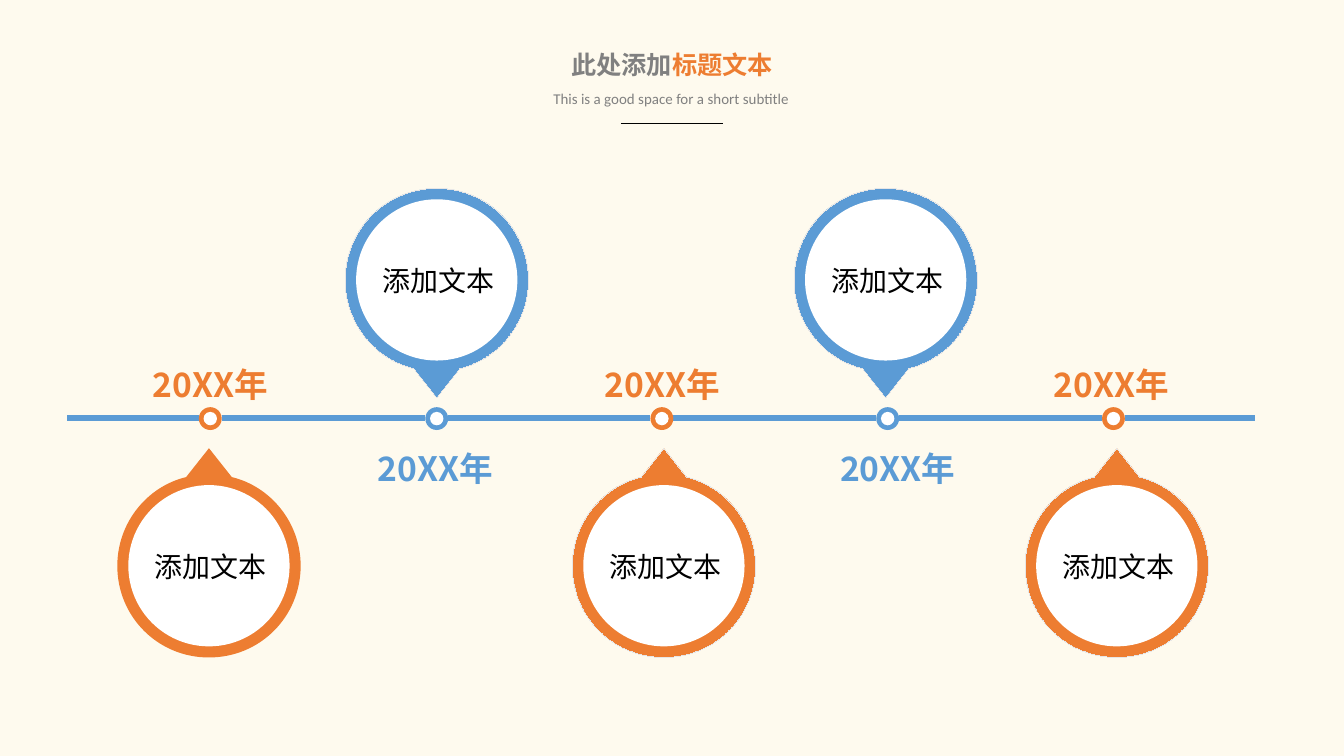
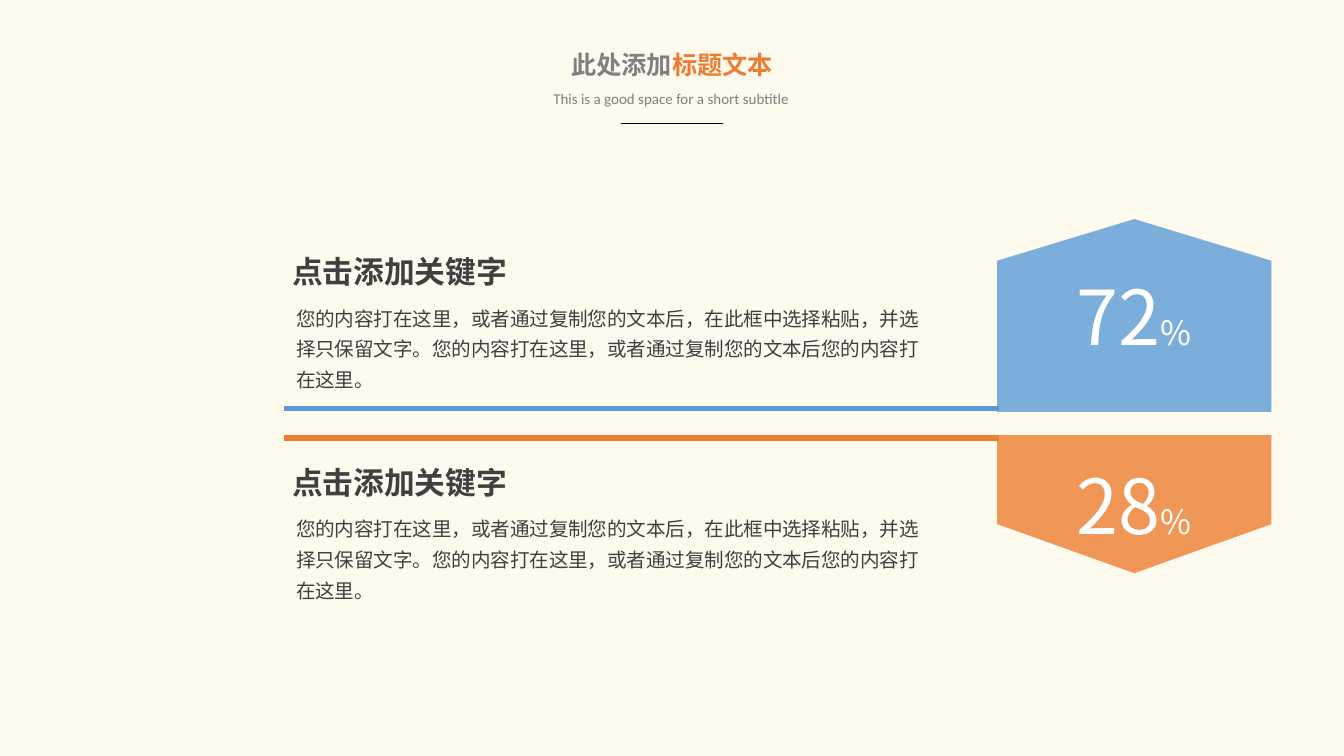
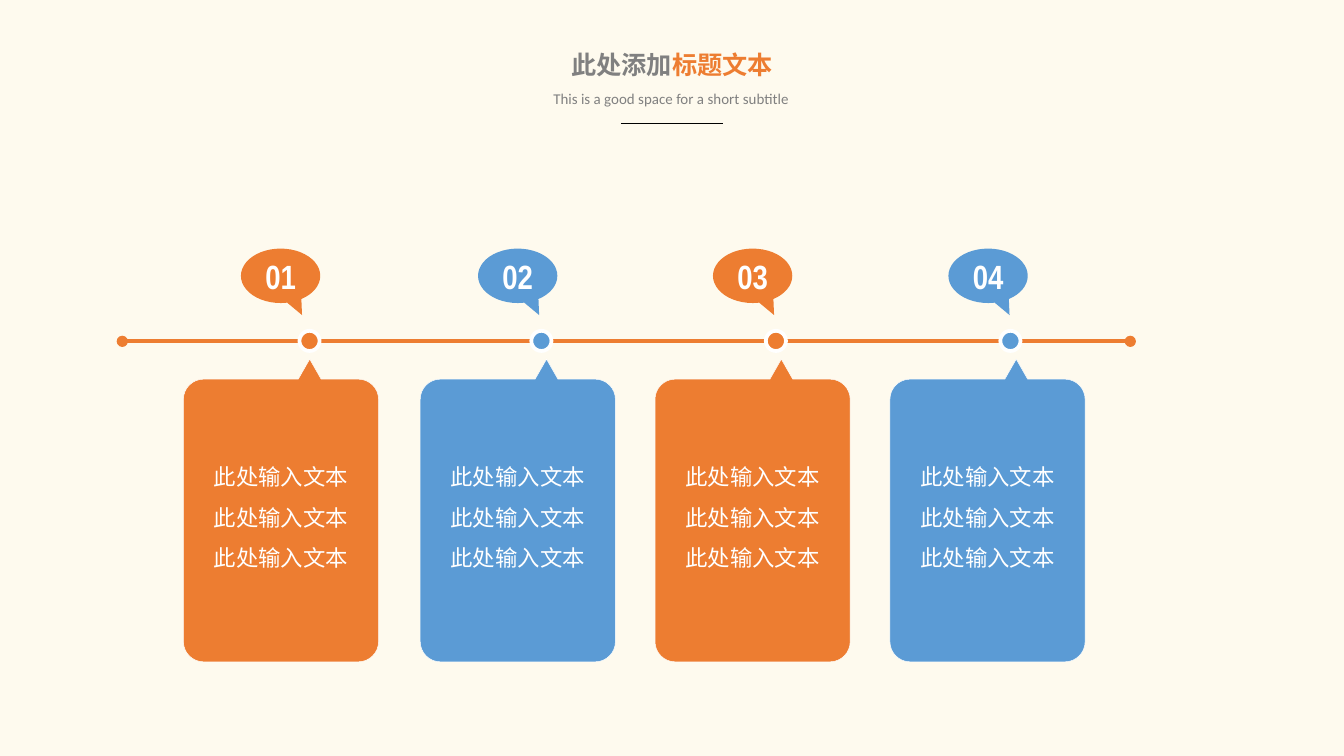
from dataclasses import dataclass, field

import pptx
import pptx.dml.color
import pptx.enum.shapes
import pptx.enum.text
import pptx.oxml.ns
import pptx.util
from lxml import etree

RGB = pptx.dml.color.RGBColor.from_string
Pt = pptx.util.Pt
Shapes = pptx.enum.shapes.MSO_SHAPE
Align = pptx.enum.text.PP_ALIGN
Anchor = pptx.enum.text.MSO_ANCHOR
Fit = pptx.enum.text.MSO_AUTO_SIZE
qn = pptx.oxml.ns.qn


@dataclass(frozen=True)
class Theme:
    paper: str = "FEFAEE"
    orange: str = "ED7D31"
    blue: str = "5B9BD5"
    white: str = "FFFFFF"
    black: str = "000000"
    grey: str = "808080"
    ink: str = "404040"
    pale: str = "E7E6E6"
    han: str = "Noto Sans CJK SC"
    fonts: dict = field(default_factory=lambda: {
        "title": {"name": "Calibri", "size": Pt(13.5), "bold": True},
        "subtitle": {"name": "Calibri", "size": Pt(8), "bold": False},
        "label": {"name": Theme.han, "size": Pt(15), "bold": False},
        "year": {"name": Theme.han, "size": Pt(18), "bold": True},
        "heading": {"name": Theme.han, "size": Pt(16.5), "bold": True},
        "body": {"name": Theme.han, "size": Pt(10.5), "bold": False},
        "figure": {"name": Theme.han, "size": Pt(40.5), "bold": False},
        "percent": {"name": Theme.han, "size": Pt(18), "bold": False},
        "number": {"name": "Arial Narrow", "size": Pt(18), "bold": True},
        "card": {"name": Theme.han, "size": Pt(12), "bold": False},
    })


theme = Theme()
deck = pptx.Presentation()
deck.slide_width = pptx.util.Inches(10)
deck.slide_height = pptx.util.Inches(5.625)
cell = deck.slide_width // 100

growing = {"word_wrap": True, "auto_size": Fit.SHAPE_TO_FIT_TEXT, "vertical_anchor": Anchor.TOP}
unwrapped = {**growing, "word_wrap": False}
centred = {"word_wrap": True, "auto_size": Fit.NONE, "vertical_anchor": Anchor.MIDDLE}
flush = {**centred, "margin_left": 0, "margin_right": 0, "margin_top": 0, "margin_bottom": 0}
heading_frame = {**growing, "margin_left": Pt(5), "margin_right": Pt(5),
                 "margin_top": Pt(3), "margin_bottom": Pt(3)}


def draw(slide, outline, box=None, fill=None, edge=None):
    if outline is None:
        return slide.shapes.add_textbox(*[round(v * cell) for v in box])
    if box:
        shape = slide.shapes.add_shape(outline, *[round(v * cell) for v in box])
    else:
        points = [(round(s[k] * cell), round(s[k + 1] * cell))
                  for s in outline for k in range(0, len(s), 2)]
        pen = slide.shapes.build_freeform(*points[0], scale=1.0)
        pen.add_line_segments(points[1:], close=True)
        shape = pen.convert_to_shape()
        strokes = iter(list(shape._element.spPr.iter(qn("a:lnTo"))))
        for segment in outline[1:]:
            stroke = next(strokes)
            if len(segment) == 6:
                stroke.tag = qn("a:cubicBezTo")
                for _ in range(2):
                    control = next(strokes)
                    control.getparent().remove(control)
                    stroke.append(control[0])
    shape.shadow.inherit = False
    shape.fill.solid()
    shape.fill.fore_color.rgb = RGB(fill)
    if edge:
        shape.line.color.rgb = RGB(edge[0])
        shape._element.spPr.find(qn("a:ln")).set("w", str(int(Pt(edge[1]))))
    else:
        shape.line.fill.background()
    return shape


def write(shape, paragraphs, frame, align=Align.CENTER, spacing=None):
    for name, value in frame.items():
        setattr(shape.text_frame, name, value)
    for index, runs in enumerate(paragraphs):
        paragraph = shape.text_frame.paragraphs[0] if index == 0 else shape.text_frame.add_paragraph()
        paragraph.alignment = align
        paragraph.line_spacing = spacing
        for text, style, colour in runs:
            run = paragraph.add_run()
            run.text = text
            for name, value in theme.fonts[style].items():
                setattr(run.font, name, value)
            run.font.color.rgb = RGB(colour)
            etree.SubElement(run.font._element, qn("a:ea"), typeface=run.font.name)


backdrop = deck.slide_master.background.fill
backdrop.solid()
backdrop.fore_color.rgb = RGB(theme.paper)

ring_centres = (15.65, 32.5, 49.25, 66.05, 82.85)
segment_starts = [5] + [x + 0.85 for x in ring_centres]
segment_ends = [x - 0.85 for x in ring_centres] + [93.4]
title_rule = (46.2, 53.8, 9.2, theme.black, 0.5, None)
slide_rules = [
    [(a, b, 31.1, theme.blue, 3, None) for a, b in zip(segment_starts, segment_ends)],
    [(74.3, 21.1, 30.4, theme.blue, 3, None), (74.3, 21.1, 32.6, theme.orange, 3, None)],
    [(9.1, 84.1, 25.4, theme.orange, 2, "oval")],
]
for rules in slide_rules:
    slide = deck.slides.add_slide(deck.slide_layouts[5])
    title = slide.shapes.title
    for name, value in zip(("left", "top", "width", "height"), (41.4, 3.2, 17.2, 3.3)):
        setattr(title, name, round(value * cell))
    write(title, [[("此处添加", "title", theme.grey), ("标题文本", "title", theme.orange)]], unwrapped)
    subtitle = draw(slide, None, (40.1, 6.2, 19.7, 2.4))
    write(subtitle, [[("This is a good space for a short subtitle", "subtitle", theme.grey)]], unwrapped)
    for start, end, row, colour, weight, cap in [title_rule] + rules:
        rule = slide.shapes.add_connector(
            pptx.enum.shapes.MSO_CONNECTOR.STRAIGHT,
            *[round(v * cell) for v in (start, row, end, row)])
        rule.line.color.rgb = RGB(colour)
        rule.line.width = Pt(weight)
        properties = rule._element.spPr
        if cap:
            for tip in ("a:headEnd", "a:tailEnd"):
                etree.SubElement(properties.find(qn("a:ln")), qn(tip), type=cap)
        etree.SubElement(properties, qn("a:effectLst"))

timeline, shares, steps = deck.slides

pin_centres = (15.55, 32.5, 49.4, 65.9, 83.1)
year_lefts = (9.55, 26.3, 43.2, 60.7, 76.6)
pin_segments = (
    (1.7, 6.6),
    (4.6, 5.9, 6.82, 3.2, 6.82, 0),
    (6.82, -3.8, 3.8, -6.82, 0, -6.82),
    (-3.8, -6.82, -6.82, -3.8, -6.82, 0),
    (-6.82, 3.2, -4.6, 5.9, -1.7, 6.6),
    (0, 8.75),
    (1.7, 6.6),
)
for i, (ring, pin, year_left) in enumerate(zip(ring_centres, pin_centres, year_lefts)):
    if i % 2:
        colour, middle, direction, year_top = theme.blue, 20.83, 1, 32.84
    else:
        colour, middle, direction, year_top = theme.orange, 42.1, -1, 26.6
    pin_outline = [
        [middle + direction * v if k % 2 else pin + v for k, v in enumerate(segment)]
        for segment in pin_segments]
    draw(timeline, pin_outline, fill=colour, edge=(theme.pale, 0) if i else None)
    for x, y, size, fill in ((pin, middle, 12, theme.white),
                             (ring, 31.15, 1.7, colour), (ring, 31.15, 1, theme.white)):
        draw(timeline, Shapes.OVAL, (x - size / 2, y - size / 2, size, size), fill)
    label = draw(timeline, None, (pin - 6, middle - 1.7, 12.2, 3.5))
    write(label, [[("添加文本", "label", theme.black)]], growing)
    year = draw(timeline, None, (year_left, year_top, 12.2, 4))
    write(year, [[("20XX年", "year", colour)]], growing)

explanation = ("您的内容打在这里，或者通过复制您的文本后，在此框中选择粘贴，并选择只保留文字。"
               "您的内容打在这里，或者通过复制您的文本后您的内容打在这里。")
for figure, colour, base, shoulder, peak, top in (
        ("72", theme.blue, 30.65, 19.4, 16.3, 18.4),
        ("28", theme.orange, 32.37, 39, 42.65, 34.08)):
    arrow_outline = [(74.2, base), (74.2, shoulder), (84.4, peak), (94.6, shoulder), (94.6, base)]
    arrow = draw(shares, arrow_outline, fill=colour)
    tint = arrow._element.spPr.find(qn("a:solidFill")).find(qn("a:srgbClr"))
    etree.SubElement(tint, qn("a:alpha"), val="80000")
    write(arrow, [[(figure, "figure", theme.white), ("%", "percent", theme.white)]], flush)
    heading = draw(shares, None, (21.05, top, 22.9, 3.5))
    write(heading, [[("点击添加关键字", "heading", theme.ink)]], heading_frame, Align.LEFT)
    body = draw(shares, None, (21.05, top + 3.4, 49, 7.9))
    write(body, [[(explanation, "body", theme.ink)]], growing, Align.LEFT, 1.3)

card_top, card_bottom, card_width, radius = 28.22, 49.25, 14.52, 1.5
bend = radius * 0.45
node_lefts = (22.28, 39.53, 56.98, 74.43)
bubble_lefts = (17.93, 35.57, 53.05, 70.57)
card_lefts = (13.65, 31.27, 48.74, 66.22)
for i, (node_left, bubble_left, left) in enumerate(zip(node_lefts, bubble_lefts, card_lefts)):
    colour = theme.blue if i % 2 else theme.orange
    draw(steps, Shapes.OVAL, (node_left, 24.62, 1.5, 1.5), colour, (theme.white, 2))
    bubble = draw(steps, Shapes.OVAL_CALLOUT, (bubble_left, 18.5, 5.9, 4.05), colour)
    bubble._element.spPr.find(qn("a:xfrm")).set("flipH", "1")
    bubble.adjustments[0] = -0.27
    bubble.adjustments[1] = 0.72
    write(bubble, [[(f"{i + 1:02}", "number", theme.white)]], flush)
    right = left + card_width
    near, far = left + radius, right - radius
    high, low = card_top + radius, card_bottom - radius
    card_outline = [
        (left + 9.4, 26.73),
        (left + 10.25, card_top),
        (far, card_top),
        (right - bend, card_top, right, card_top + bend, right, high),
        (right, low),
        (right, card_bottom - bend, right - bend, card_bottom, far, card_bottom),
        (near, card_bottom),
        (left + bend, card_bottom, left, card_bottom - bend, left, low),
        (left, high),
        (left, card_top + bend, left + bend, card_top, near, card_top),
        (left + 8.55, card_top),
        (left + 9.4, 26.73),
    ]
    card = draw(steps, card_outline, fill=colour, edge=(theme.white, 0.25))
    write(card, [[("此处输入文本", "card", theme.white)]] * 3, centred, spacing=1.5)

deck.save("out.pptx")
